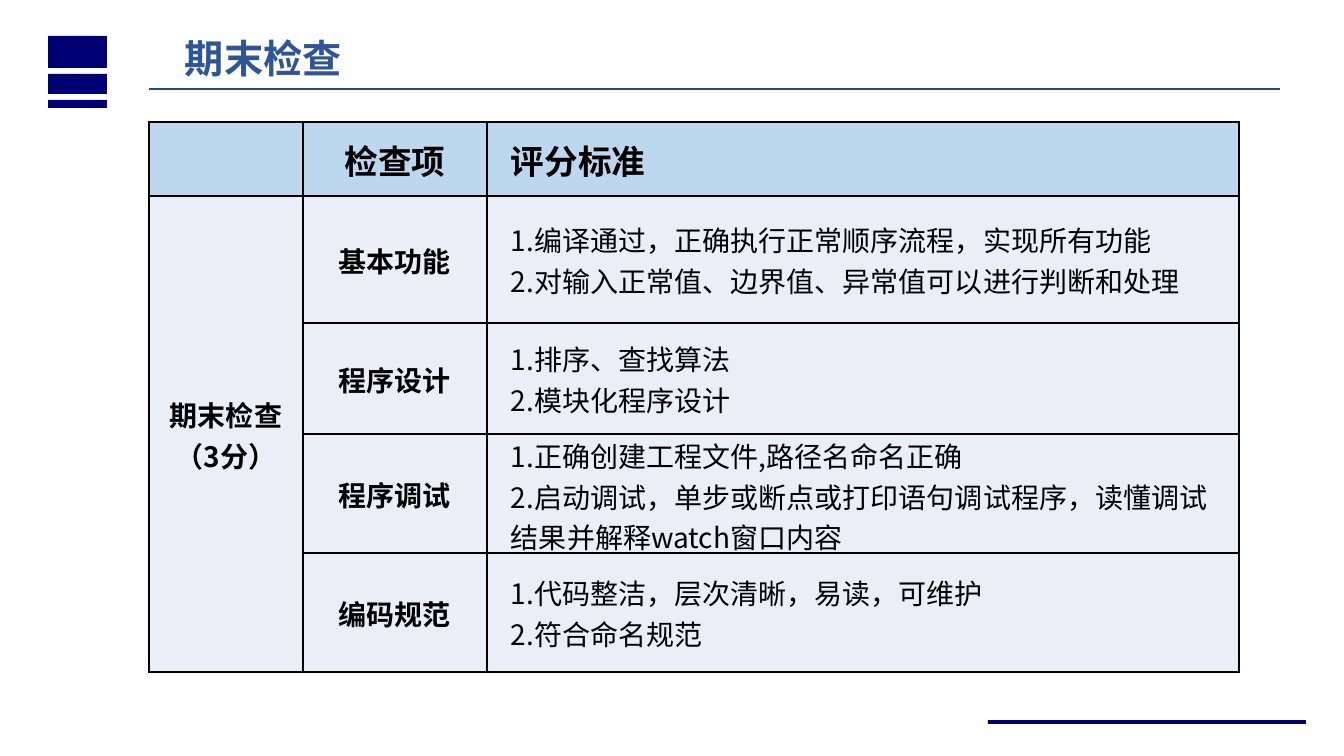
"""Build the final inspection slide with its grading table."""
import lxml.etree
import pptx
import pptx.dml.color
import pptx.enum.shapes
import pptx.enum.text
import pptx.oxml
import pptx.oxml.ns
import pptx.util

PX = 914400 / 100.8
FONT = "Noto Sans CJK SC"
COLORS = {
    "navy": "000074",
    "title": "2F5597",
    "rule": "1F4E79",
    "text": "000000",
    "header": "BDD7EE",
    "body": "EAEFF7",
}
qn = pptx.oxml.ns.qn


def px(*lengths):
    return [pptx.util.Emu(round(length * PX)) for length in lengths]


def write(frame, text, size, color, bold, align):
    frame.text = text
    for para in frame.paragraphs:
        para.alignment = align
        for span in para.runs:
            span.font.size = pptx.util.Pt(size)
            span.font.bold = bold
            span.font.name = FONT
            span.font.color.rgb = pptx.dml.color.RGBColor.from_string(COLORS[color])
            east_asian = lxml.etree.SubElement(span.font._element, qn("a:ea"))
            east_asian.set("typeface", FONT)


deck = pptx.Presentation()
deck.slide_width, deck.slide_height = px(1344, 756)
page = deck.slides.add_slide(deck.slide_layouts[6])
left = pptx.enum.text.PP_ALIGN.LEFT
center = pptx.enum.text.PP_ALIGN.CENTER
middle = pptx.enum.text.MSO_ANCHOR.MIDDLE

bars = [(48, 36, 59, 32), (48, 74, 59, 20), (48, 100, 59, 8), (988, 720, 318, 4)]
for bounds in bars:
    bar = page.shapes.add_shape(pptx.enum.shapes.MSO_SHAPE.RECTANGLE, *px(*bounds))
    bar.shadow.inherit = False
    bar.fill.solid()
    bar.fill.fore_color.rgb = pptx.dml.color.RGBColor.from_string(COLORS["navy"])
    bar.line.fill.background()

title = page.shapes.add_textbox(*px(175, 29, 473, 57))
title.text_frame.word_wrap = True
title.text_frame.vertical_anchor = middle
write(title.text_frame, "期末检查", 28, "title", True, left)

rule = page.shapes.add_connector(
    pptx.enum.shapes.MSO_CONNECTOR.STRAIGHT, *px(149, 89, 1280, 89)
)
rule.line.color.rgb = pptx.dml.color.RGBColor.from_string(COLORS["rule"])
rule.line.width = pptx.util.Pt(1.25)
lxml.etree.SubElement(rule._element.spPr, qn("a:effectLst"))

rows = [
    ("", "检查项", "评分标准"),
    (
        "期末检查（3分）",
        "基本功能",
        "1.编译通过，正确执行正常顺序流程，实现所有功能\n"
        "2.对输入正常值、边界值、异常值可以进行判断和处理",
    ),
    ("", "程序设计", "1.排序、查找算法\n2.模块化程序设计"),
    (
        "",
        "程序调试",
        "1.正确创建工程文件,路径名命名正确\n"
        "2.启动调试，单步或断点或打印语句调试程序，读懂调试\n"
        "结果并解释watch窗口内容",
    ),
    ("", "编码规范", "1.代码整洁，层次清晰，易读，可维护\n2.符合命名规范"),
]
widths = px(154, 184, 752)
heights = px(74, 127, 111, 119, 119)
table = page.shapes.add_table(
    len(rows), len(widths), *px(149, 122), sum(widths), sum(heights)
).table
for column, width in zip(table.columns, widths):
    column.width = width
for row, height in zip(table.rows, heights):
    row.height = height

for row_index, texts in enumerate(rows):
    is_header = row_index == 0
    for column_index, text in enumerate(texts):
        is_criteria = column_index == 2
        cell = table.cell(row_index, column_index)
        cell.vertical_anchor = middle
        cell.margin_left, cell.margin_right, cell.margin_top, cell.margin_bottom = px(
            24 if is_criteria else 1, 1, 1, 0
        )
        write(
            cell.text_frame,
            text,
            24 if is_header else 20,
            "text",
            is_header or not is_criteria,
            left if is_criteria else center,
        )
        cell.fill.solid()
        cell.fill.fore_color.rgb = pptx.dml.color.RGBColor.from_string(
            COLORS["header" if is_header else "body"]
        )
        properties = cell._tc.get_or_add_tcPr()
        for position, side in enumerate(("a:lnL", "a:lnR", "a:lnT", "a:lnB")):
            border = lxml.etree.Element(qn(side), w=str(pptx.util.Pt(1)))
            fill = lxml.etree.SubElement(border, qn("a:solidFill"))
            lxml.etree.SubElement(fill, qn("a:srgbClr"), val=COLORS["text"])
            properties.insert(position, border)
table.cell(1, 0).merge(table.cell(4, 0))

deck.save("out.pptx")
